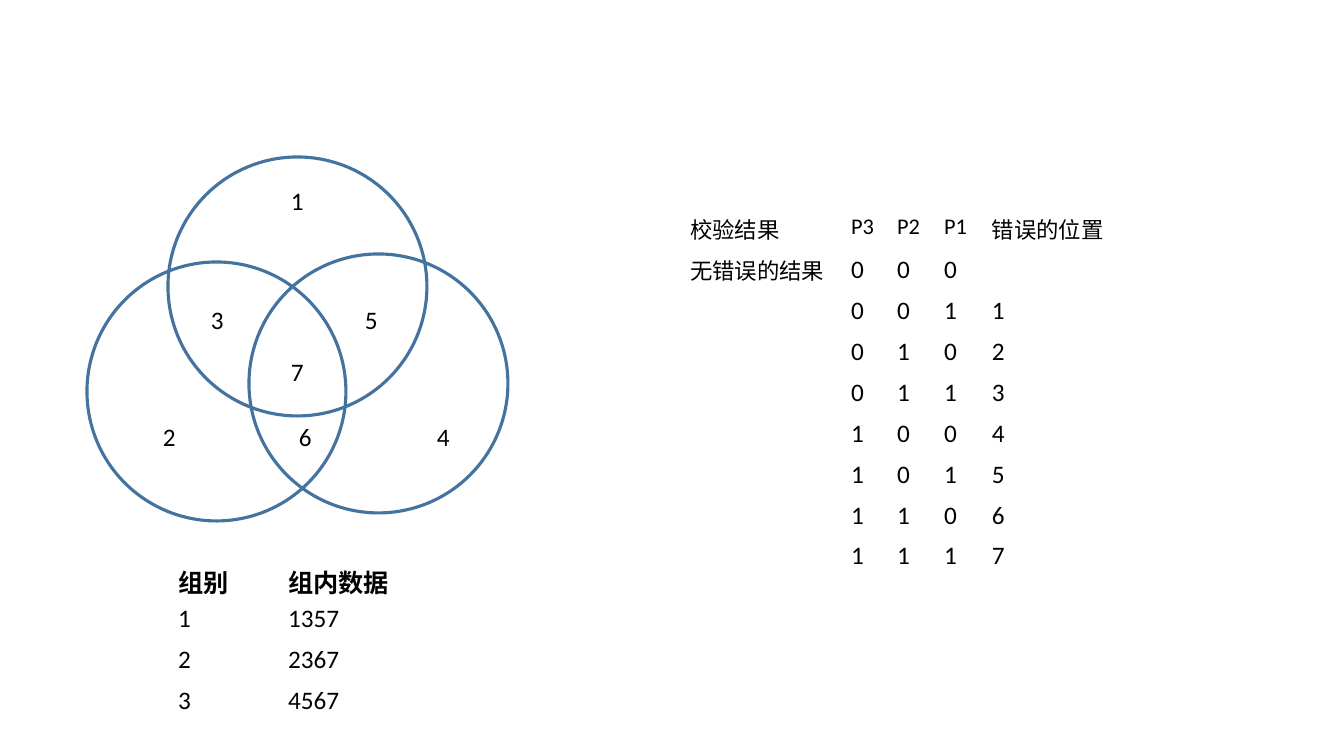
from dataclasses import dataclass

from lxml import etree
from pptx import Presentation
from pptx.dml.color import RGBColor
from pptx.enum.shapes import MSO_SHAPE
from pptx.enum.text import MSO_AUTO_SIZE
from pptx.oxml.ns import qn
from pptx.shapes.shapetree import GroupShapes, SlideShapes
from pptx.table import _Cell
from pptx.text.text import TextFrame
from pptx.util import Emu, Pt


@dataclass(frozen=True)
class Theme:
    font: str = "Calibri"
    text: str = "000000"
    circle: str = "43739E"
    border: str = "FFFFFF"
    body: int = 18
    label: int = 16
    circle_line: float = 2.25
    thin: int = 1
    thick: int = 3


@dataclass(frozen=True)
class Circle:
    left: int
    top: int


@dataclass(frozen=True)
class RegionLabel:
    text: str
    left: int
    top: int
    width: int
    wrap: bool = True


@dataclass(frozen=True)
class Grid:
    left: int
    top: int
    columns: list[int]
    heights: list[int]
    rows: list[list[str]]
    label_cells: frozenset[tuple[int, int]] = frozenset()
    bold_header: bool = False


THEME = Theme()
DIAMETER = 259
LABEL_HEIGHT = 40
ROW_HEIGHT = 41

CIRCLES = [Circle(168, 157), Circle(249, 254), Circle(87, 262)]

REGION_LABELS = [
    RegionLabel("1", 281, 180, 33, wrap=False),
    RegionLabel("2", 153, 416, 32),
    RegionLabel("4", 427, 416, 26),
    RegionLabel("3", 201, 299, 40),
    RegionLabel("5", 355, 299, 38),
    RegionLabel("7", 281, 351, 25),
    RegionLabel("6", 289, 416, 33, wrap=False),
]

GROUP_GRID = Grid(
    168, 558, [110, 162], [27] + [ROW_HEIGHT] * 3,
    [["组别", "组内数据"], ["1", "1357"], ["2", "2367"], ["3", "4567"]],
    bold_header=True,
)

CHECK_GRID = Grid(
    680, 208, [161, 46, 47, 48, 132], [ROW_HEIGHT] * 9,
    [["校验结果", "P3", "P2", "P1", "错误的位置"], ["无错误的结果", "0", "0", "0", ""]]
    + [["", *format(position, "03b"), str(position)] for position in range(1, 8)],
    label_cells=frozenset({(0, column) for column in range(5)} | {(1, 0)}),
)


def px(value: int) -> Emu:
    return Emu(round(value * 914400 / 100.8))


def write(frame: TextFrame, text: str, size: int, bold: bool = False) -> None:
    if not text:
        return
    run = frame.paragraphs[0].add_run()
    run.text = text
    run.font.name = THEME.font
    run.font.size = Pt(size)
    run.font.bold = bold
    run.font.color.rgb = RGBColor.from_string(THEME.text)


def draw_circle(shapes: GroupShapes, circle: Circle) -> None:
    shape = shapes.add_shape(
        MSO_SHAPE.OVAL, px(circle.left), px(circle.top), px(DIAMETER), px(DIAMETER)
    )
    shape.shadow.inherit = False
    shape.fill.background()
    shape.line.color.rgb = RGBColor.from_string(THEME.circle)
    shape.line.width = Pt(THEME.circle_line)


def draw_label(shapes: GroupShapes, label: RegionLabel) -> None:
    box = shapes.add_textbox(
        px(label.left), px(label.top), px(label.width), px(LABEL_HEIGHT)
    )
    box.text_frame.word_wrap = label.wrap
    box.text_frame.auto_size = MSO_AUTO_SIZE.SHAPE_TO_FIT_TEXT
    write(box.text_frame, label.text, THEME.body)


def set_borders(cell: _Cell, bottom: int) -> None:
    properties = cell._tc.get_or_add_tcPr()
    widths = {"L": THEME.thin, "R": THEME.thin, "T": THEME.thin, "B": bottom}
    for side, width in widths.items():
        line = etree.SubElement(properties, qn(f"a:ln{side}"), w=str(Pt(width)))
        fill = etree.SubElement(line, qn("a:solidFill"))
        etree.SubElement(fill, qn("a:srgbClr"), val=THEME.border)


def draw_grid(shapes: SlideShapes, grid: Grid) -> None:
    table = shapes.add_table(
        len(grid.heights), len(grid.columns), px(grid.left), px(grid.top),
        px(sum(grid.columns)), px(sum(grid.heights)),
    ).table
    table.first_row = False
    table.horz_banding = False
    for column, width in zip(table.columns, grid.columns):
        column.width = px(width)
    for r, (height, texts) in enumerate(zip(grid.heights, grid.rows)):
        table.rows[r].height = px(height)
        header = r == 0
        for c, text in enumerate(texts):
            cell = table.cell(r, c)
            set_borders(cell, THEME.thick if header else THEME.thin)
            cell.fill.background()
            size = THEME.label if (r, c) in grid.label_cells else THEME.body
            write(cell.text_frame, text, size, header and grid.bold_header)


def main() -> None:
    presentation = Presentation()
    presentation.slide_width = px(1344)
    presentation.slide_height = px(756)
    slide = presentation.slides.add_slide(presentation.slide_layouts[6])
    venn = slide.shapes.add_group_shape()
    for circle in CIRCLES:
        draw_circle(venn.shapes, circle)
    for label in REGION_LABELS:
        draw_label(venn.shapes, label)
    for grid in (GROUP_GRID, CHECK_GRID):
        draw_grid(slide.shapes, grid)
    presentation.save("out.pptx")


main()
